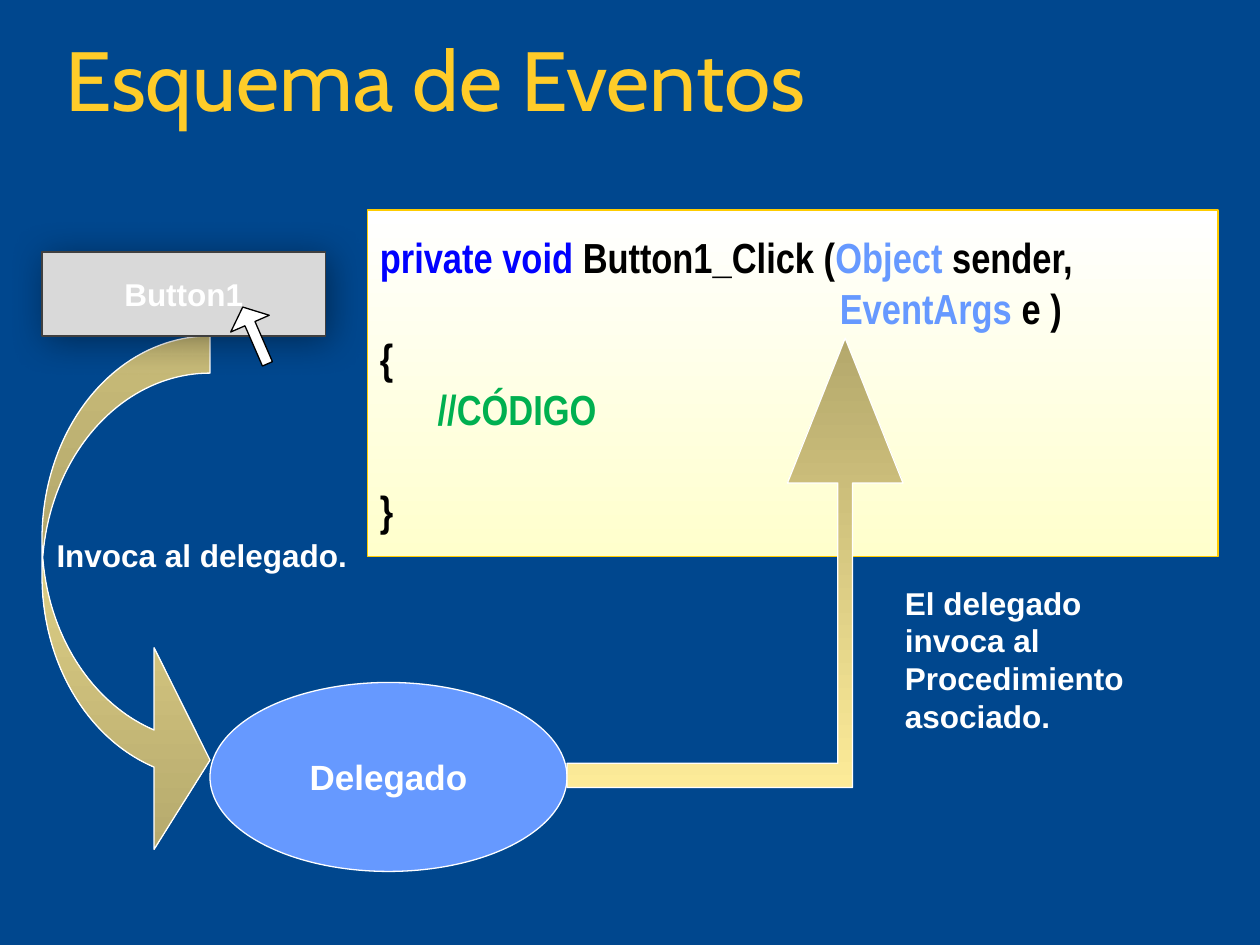
from lxml.etree import SubElement
from pptx import Presentation
from pptx.dml.color import RGBColor
from pptx.enum.shapes import MSO_SHAPE as Shape
from pptx.enum.text import MSO_ANCHOR as Anchor, MSO_AUTO_SIZE as AutoSize, PP_ALIGN as Align
from pptx.oxml.ns import qn
from pptx.util import Inches, Pt

COLORS = {
    "background": "00478E", "title": "FFCC29", "white": "FFFFFF", "black": "000000",
    "button": "D9D9D9", "button_line": "404040", "blue": "6699FF", "keyword": "0000FF",
    "comment": "00B050", "cream": "FFFFCC", "gold": "FFCC00", "sand": "FCEB98",
}
CELL = Inches(1) / 12
DARK_SHADE = 46275


def color(name):
    return RGBColor.from_string(COLORS[name])


def grid(*cells):
    return [round(cell * CELL) for cell in cells]


def add_run(paragraph, text, size, tint="white", font="Arial", bold=True):
    run = paragraph.add_run()
    run.text = text
    run.font.name = font
    run.font.size = Pt(size)
    run.font.bold = bold
    run.font.color.rgb = color(tint)


def set_line(shape, name):
    shape.shadow.inherit = False
    shape.line.color.rgb = color(name)
    shape.line.width = Pt(0.75)


def set_gradient(shape, names, shaded_stop=None):
    shape.fill.gradient()
    shape.fill.gradient_angle = 270
    for stop, name, position in zip(shape.fill.gradient_stops, names, (0, 1)):
        stop.color.rgb = color(name)
        stop.position = position
    if shaded_stop is not None:
        stop_color = shape._element.spPr.findall(".//" + qn("a:gs"))[shaded_stop][0]
        SubElement(stop_color, qn("a:shade")).set("val", str(DARK_SHADE))


def add_figure(slide, kind, cells, line, fill=None, adjustments=()):
    shape = slide.shapes.add_shape(kind, *grid(*cells))
    set_line(shape, line)
    if fill:
        shape.fill.solid()
        shape.fill.fore_color.rgb = color(fill)
    for index, value in enumerate(adjustments):
        shape.adjustments[index] = value
    return shape


def add_label(shape, text, size):
    frame = shape.text_frame
    frame.word_wrap = False
    frame.vertical_anchor = Anchor.MIDDLE
    frame.paragraphs[0].alignment = Align.CENTER
    add_run(frame.paragraphs[0], text, size)


def add_note(slide, cells, lines, wrap):
    frame = slide.shapes.add_textbox(*grid(*cells)).text_frame
    frame.word_wrap = wrap
    frame.auto_size = AutoSize.SHAPE_TO_FIT_TEXT
    for index, line in enumerate(lines):
        paragraph = frame.add_paragraph() if index else frame.paragraphs[0]
        add_run(paragraph, line, 18)


def add_shadow(shape):
    effects = shape._element.spPr.find(qn("a:effectLst"))
    shadow = SubElement(effects, qn("a:outerShdw"), blurRad=str(Pt(21)),
                        dist=str(Pt(3)), dir=str(45 * 60000), rotWithShape="0")
    tint = SubElement(shadow, qn("a:srgbClr"), val=COLORS["black"])
    SubElement(tint, qn("a:alpha"), val="40000")


def add_title(slide, text):
    title = slide.shapes.title
    title.left, title.top, title.width, title.height = grid(5, 3, 110.2, 10)
    frame = title.text_frame
    frame.auto_size = AutoSize.SHAPE_TO_FIT_TEXT
    frame.vertical_anchor = Anchor.MIDDLE
    paragraph = frame.paragraphs[0]
    paragraph.alignment = Align.LEFT
    paragraph.line_spacing = 0.9
    add_run(paragraph, text, 48, "title", "Cabin", False)


def add_code(slide):
    panel = add_figure(slide, Shape.RECTANGLE, (35, 20, 81, 33), "gold")
    set_gradient(panel, ("white", "cream"))
    frame = panel.text_frame
    frame.word_wrap = True
    frame.vertical_anchor = Anchor.MIDDLE
    lines = [
        (0, 0, [("private void ", "keyword"), ("Button1_Click (", "black"),
                ("Object ", "blue"), ("sender,", "black")]),
        (43.8, 0, [("EventArgs ", "blue"), ("e )", "black")]),
        (0, 0, [("{", "black")]),
        (5.5, 0, [("//CÓDIGO", "comment")]),
        (0, 29, [("}", "black")]),
    ]
    for index, (indent, gap, runs) in enumerate(lines):
        paragraph = frame.add_paragraph() if index else frame.paragraphs[0]
        paragraph.alignment = Align.LEFT
        paragraph.space_before = Pt(gap)
        properties = paragraph._p.get_or_add_pPr()
        properties.set("marL", str(grid(indent)[0]))
        properties.set("indent", "0")
        for text, tint in runs:
            add_run(paragraph, text, 24, tint, "Arial Narrow")


def add_elbow_arrow(slide):
    axis, head, shaft = 80.5, 5.5, 0.7
    tip, neck, inner, outer, start = 32.2, 46, 72.7, 75, 54
    points = [
        (axis, tip), (axis - head, neck), (axis - shaft, neck), (axis - shaft, inner),
        (start, inner), (start, outer), (axis + shaft, outer), (axis + shaft, neck),
        (axis + head, neck),
    ]
    corners = [grid(*point) for point in points]
    builder = slide.shapes.build_freeform(*corners[0])
    builder.add_line_segments(corners[1:], close=True)
    arrow = builder.convert_to_shape()
    set_line(arrow, "white")
    set_gradient(arrow, ("sand", "sand"), shaded_stop=0)


def main():
    presentation = Presentation()
    presentation.slide_width, presentation.slide_height = grid(120, 90)
    slide = presentation.slides.add_slide(presentation.slide_layouts[5])
    slide.background.fill.solid()
    slide.background.fill.fore_color.rgb = color("background")

    add_title(slide, "Esquema de Eventos")
    curve = add_figure(slide, Shape.CURVED_RIGHT_ARROW, (4, 32, 16, 50), "white",
                       adjustments=(0.221, 1.2, 0.333))
    set_gradient(curve, ("sand", "sand"), shaded_stop=1)
    button = add_figure(slide, Shape.ACTION_BUTTON_CUSTOM, (4, 24, 27, 8),
                        "button_line", "button")
    add_shadow(button)
    add_label(button, "Button1", 18)
    pointer = add_figure(slide, Shape.UP_ARROW, (22.3, 29, 4, 5.9), "black", "white",
                         (0.26, 0.432))
    pointer.rotation = 336.5
    delegate = add_figure(slide, Shape.OVAL, (20, 65, 34, 18), "white", "blue")
    add_label(delegate, "Delegado", 20)
    add_code(slide)
    add_note(slide, (4.2, 50.5, 30.4, 4.8), ["Invoca al delegado."], False)
    add_note(slide, (85, 55, 28, 15.6),
             ["El delegado", "invoca al", "Procedimiento", "asociado."], True)
    add_elbow_arrow(slide)
    presentation.save("out.pptx")


if __name__ == "__main__":
    main()
